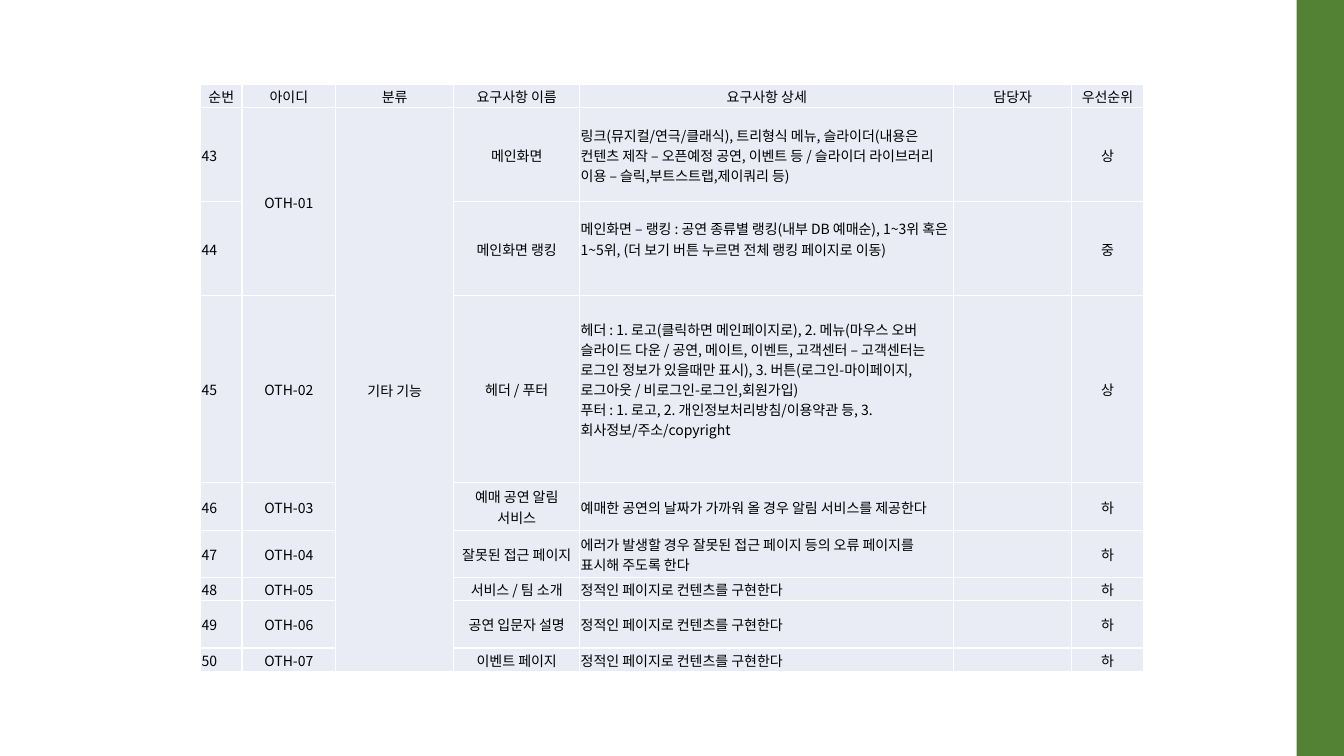
from typing import NamedTuple

from lxml.etree import SubElement
from pptx import Presentation
from pptx.dml.color import RGBColor
from pptx.enum.shapes import MSO_SHAPE
from pptx.enum.text import MSO_ANCHOR, PP_ALIGN
from pptx.oxml.ns import qn
from pptx.table import Table, _Cell
from pptx.util import Inches, Pt

GREEN = RGBColor(0x54, 0x82, 0x35)
PALE_BLUE = RGBColor(0xE9, 0xEB, 0xF5)
WHITE = RGBColor(0xFF, 0xFF, 0xFF)
BLACK = RGBColor(0, 0, 0)
FONT = "Noto Sans CJK KR"
TEXT_SIZE = Pt(10)
INSET = Inches(0.01)
LINE_HEIGHT = Inches(0.2)


class Requirement(NamedTuple):
    number: str
    code: str
    category: str
    name: str
    detail: str
    owner: str
    priority: str
    height: float
    raised: bool = False


STATIC_PAGE = "정적인 페이지로 컨텐츠를 구현한다"
HEADER = Requirement("순번", "아이디", "분류", "요구사항 이름", "요구사항 상세", "담당자", "우선순위", 0.23)
REQUIREMENTS = [
    Requirement("43", "OTH-01", "기타 기능", "메인화면",
                "링크(뮤지컬/연극/클래식), 트리형식 메뉴, 슬라이더(내용은 컨텐츠 제작 – 오픈예정 공연, "
                "이벤트 등 / 슬라이더 라이브러리 이용 – 슬릭,부트스트랩,제이쿼리 등)", "", "상", 0.93),
    Requirement("44", "", "", "메인화면 랭킹",
                "메인화면 – 랭킹 : 공연 종류별 랭킹(내부 DB 예매순), 1~3위 혹은 1~5위, "
                "(더 보기 버튼 누르면 전체 랭킹 페이지로 이동)", "", "중", 0.93, raised=True),
    Requirement("45", "OTH-02", "", "헤더 / 푸터",
                "헤더 : 1. 로고(클릭하면 메인페이지로), 2. 메뉴(마우스 오버 슬라이드 다운 / 공연, 메이트, "
                "이벤트, 고객센터 – 고객센터는 로그인 정보가 있을때만 표시), 3. 버튼(로그인-마이페이지,"
                "로그아웃 / 비로그인-로그인,회원가입)\n"
                "푸터 : 1. 로고, 2. 개인정보처리방침/이용약관 등, 3. 회사정보/주소/copyright",
                "", "상", 1.86, raised=True),
    Requirement("46", "OTH-03", "", "예매 공연 알림 서비스",
                "예매한 공연의 날짜가 가까워 올 경우 알림 서비스를 제공한다", "", "하", 0.47),
    Requirement("47", "OTH-04", "", "잘못된 접근 페이지",
                "에러가 발생할 경우 잘못된 접근 페이지 등의 오류 페이지를 표시해 주도록 한다", "", "하", 0.47),
    Requirement("48", "OTH-05", "", "서비스 / 팀 소개", STATIC_PAGE, "", "하", 0.23),
    Requirement("49", "OTH-06", "", "공연 입문자 설명", STATIC_PAGE, "", "하", 0.47),
    Requirement("50", "OTH-07", "", "이벤트 페이지", STATIC_PAGE, "", "하", 0.23),
]
COLUMN_WIDTHS = [0.41, 0.93, 1.17, 1.25, 3.71, 1.17, 0.71]
NUMBER_COLUMN, DETAIL_COLUMN = 0, 4


def style_cell(cell: _Cell) -> None:
    """Set white borders, pale fill, narrow margins and middle anchoring."""
    properties = cell._tc.get_or_add_tcPr()
    for side in ("a:lnL", "a:lnR", "a:lnT", "a:lnB"):
        border = SubElement(properties, qn(side), w=str(Pt(1)))
        SubElement(SubElement(border, qn("a:solidFill")), qn("a:srgbClr"), val=str(WHITE))
    cell.fill.solid()
    cell.fill.fore_color.rgb = PALE_BLUE
    cell.margin_left = cell.margin_right = cell.margin_top = INSET
    cell.margin_bottom = 0
    cell.vertical_anchor = MSO_ANCHOR.MIDDLE


def write_cell(cell: _Cell, text: str, align: PP_ALIGN) -> None:
    paragraph = cell.text_frame.paragraphs[0]
    paragraph.alignment = align
    if not text:
        # Keeps an empty cell from stretching a short row
        SubElement(paragraph._p, qn("a:endParaRPr"), sz=str(int(TEXT_SIZE.pt * 100)))
        return
    for index, line in enumerate(text.split("\n")):
        if index:
            paragraph.add_line_break()
        run = paragraph.add_run()
        run.text = line
        run.font.size = TEXT_SIZE
        run.font.color.rgb = BLACK
        run.font.name = FONT
        SubElement(run._r.get_or_add_rPr(), qn("a:ea"), typeface=FONT)


def fill_row(table: Table, row: int, requirement: Requirement) -> None:
    table.rows[row].height = Inches(requirement.height)
    for column, text in enumerate(requirement[:len(COLUMN_WIDTHS)]):
        cell = table.cell(row, column)
        is_left = row > 0 and column in (NUMBER_COLUMN, DETAIL_COLUMN)
        style_cell(cell)
        write_cell(cell, text, PP_ALIGN.LEFT if is_left else PP_ALIGN.CENTER)
    if requirement.raised:
        table.cell(row, DETAIL_COLUMN).margin_bottom = LINE_HEIGHT


def main() -> None:
    presentation = Presentation()
    presentation.slide_width = Inches(13.33)
    presentation.slide_height = Inches(7.5)
    slide = presentation.slides.add_slide(presentation.slide_layouts[6])

    side_bar = slide.shapes.add_shape(
        MSO_SHAPE.RECTANGLE, Inches(12.86), 0, Inches(0.47), Inches(7.5))
    side_bar.shadow.inherit = False
    side_bar.fill.solid()
    side_bar.fill.fore_color.rgb = GREEN
    side_bar.line.fill.background()

    rows = [HEADER, *REQUIREMENTS]
    table = slide.shapes.add_table(
        len(rows), len(COLUMN_WIDTHS), Inches(1.99), Inches(0.84),
        Inches(sum(COLUMN_WIDTHS)), Inches(sum(row.height for row in rows))).table
    table.first_row = table.horz_banding = False
    for column, width in zip(table.columns, COLUMN_WIDTHS):
        column.width = Inches(width)
    for index, requirement in enumerate(rows):
        fill_row(table, index, requirement)
    table.cell(1, 1).merge(table.cell(2, 1))
    table.cell(1, 2).merge(table.cell(len(rows) - 1, 2))

    presentation.save("out.pptx")


if __name__ == "__main__":
    main()
